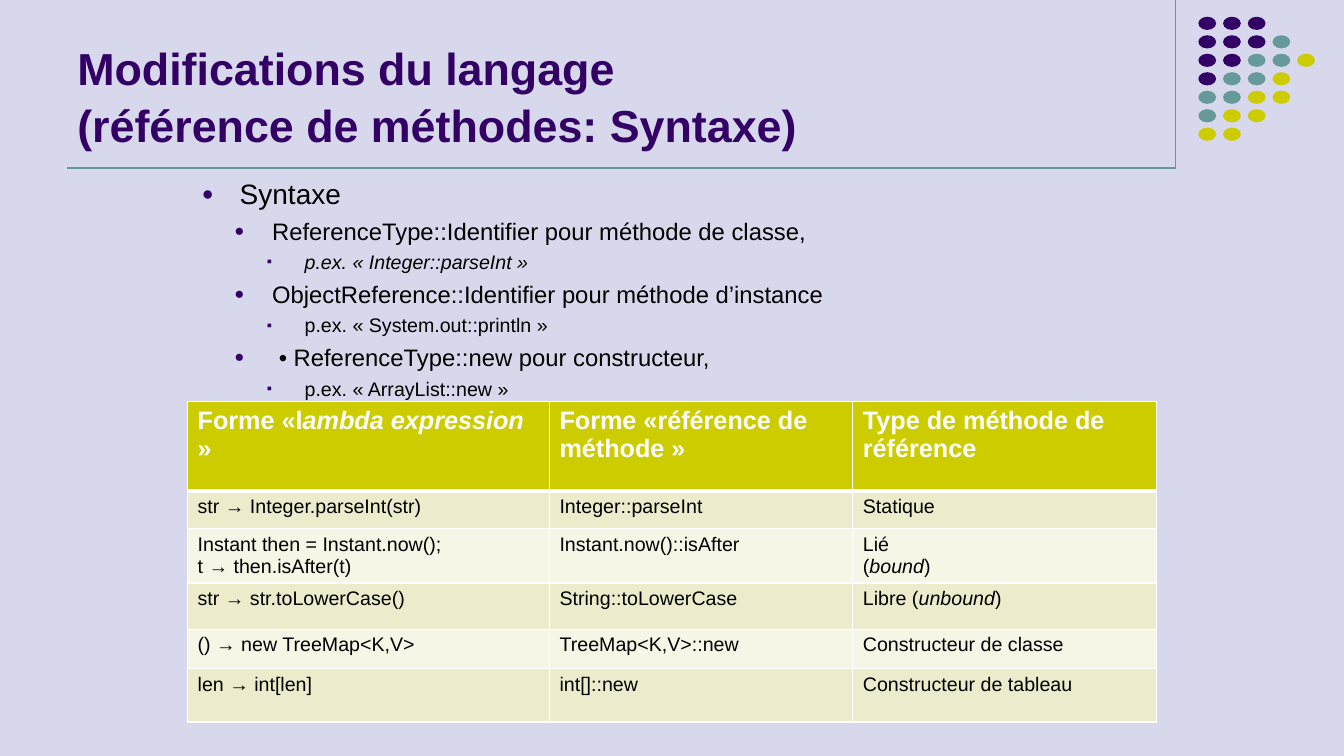
from lxml.etree import SubElement
from pptx import Presentation
from pptx.dml.color import RGBColor
from pptx.enum.shapes import MSO_CONNECTOR as CONNECTOR, MSO_SHAPE as SHAPE
from pptx.enum.text import MSO_ANCHOR as ANCHOR, MSO_AUTO_SIZE as AUTO_SIZE, PP_ALIGN as ALIGN
from pptx.oxml.ns import qn
from pptx.util import Pt

FONT = "Arial"
COLORS = {
    "background": "D8D8EC", "purple": "330066", "teal": "669999", "lime": "CCCC00",
    "black": "000000", "white": "FFFFFF", "band_dark": "ECECCC", "band_light": "F6F6E7",
}

# Each letter is one dot of the corner ornament
DOT_ROWS = ["PPP", "PPPT", "PPTTY", "PTTY", "TTYY", "TYY", "YY"]
DOT_COLORS = {"P": "purple", "T": "teal", "Y": "lime"}

TITLE = "Modifications du langage\n(référence de méthodes: Syntaxe)"

# Level and wording; asterisks enclose italics
SYNTAX_POINTS = [
    (0, "Syntaxe"),
    (1, "ReferenceType::Identifier pour méthode de classe,"),
    (2, "*p.ex. « Integer::parseInt »*"),
    (1, "ObjectReference::Identifier pour méthode d’instance"),
    (2, "p.ex. « System.out::println »"),
    (1, " • ReferenceType::new pour constructeur,"),
    (2, "p.ex. « ArrayList::new »"),
]
# Per level: text size, left margin, space before, bullet, bullet size in percent
LEVELS = [(20, 27, 4, "●", 70), (17, 50.2, 4.4, "●", 70), (14, 73.4, 3.6, "▪", 75)]
HANGING = 27

FORMS = [
    ["Forme «l*ambda expression *»", "Forme «référence de méthode »",
     "Type de méthode de référence"],
    ["str → Integer.parseInt(str)", "Integer::parseInt", "Statique"],
    ["Instant then = Instant.now();\nt → then.isAfter(t)", "Instant.now()::isAfter",
     "Lié\n(*bound*)"],
    ["str → str.toLowerCase()", "String::toLowerCase", "Libre (*unbound*)"],
    ["() → new TreeMap<K,V>", "TreeMap<K,V>::new", "Constructeur de classe"],
    ["len → int[len]", "int[]::new", "Constructeur de tableau"],
]
COLUMN_WIDTHS = [258.5, 216.7, 216.7]
ROW_HEIGHTS = [63.5, 27.2, 38.4, 33, 28.4, 38]


def color(name):
    return RGBColor.from_string(COLORS[name])


def write(paragraph, text, size=14, ink="black", bold=False):
    """Write text into a paragraph, with italics between asterisks."""
    for number, part in enumerate(text.split("*")):
        if part:
            run = paragraph.add_run()
            run.text = part
            font = run.font
            font.name, font.size, font.bold = FONT, Pt(size), bold
            font.italic = number % 2 == 1
            font.color.rgb = color(ink)


def write_lines(frame, text, **style):
    """Write one paragraph per line and return the paragraphs."""
    for number, line in enumerate(text.split("\n")):
        paragraph = frame.add_paragraph() if number else frame.paragraphs[0]
        paragraph.alignment = ALIGN.LEFT
        write(paragraph, line, **style)
    return frame.paragraphs


def place(shape, box):
    shape.left, shape.top, shape.width, shape.height = (Pt(length) for length in box)


def add_rule(slide, start, end):
    rule = slide.shapes.add_connector(
        CONNECTOR.STRAIGHT, *(Pt(length) for length in (*start, *end)))
    rule.line.color.rgb = color("teal")
    rule.line.width = Pt(0.75)
    SubElement(rule._element.spPr, qn("a:effectLst"))


def add_frame_rules(slide, box):
    left, top, width, height = box
    corner = (left + width, top + height)
    add_rule(slide, (left + width, top), corner)
    add_rule(slide, (left, top + height), corner)


def add_dots(slide, box):
    left, top, width, height = box
    dot_width, dot_height = 12.7, 9.4
    step_x = (width - dot_width) / (max(map(len, DOT_ROWS)) - 1)
    step_y = (height - dot_height) / (len(DOT_ROWS) - 1)
    for row, letters in enumerate(DOT_ROWS):
        for column, letter in enumerate(letters):
            dot = slide.shapes.add_shape(
                SHAPE.OVAL, Pt(left + column * step_x), Pt(top + row * step_y),
                Pt(dot_width), Pt(dot_height))
            dot.shadow.inherit = False
            dot.fill.solid()
            dot.fill.fore_color.rgb = color(DOT_COLORS[letter])
            dot.line.fill.background()


def fill_title(slide, box):
    title = slide.shapes.title
    place(title, box)
    frame = title.text_frame
    frame.vertical_anchor = ANCHOR.BOTTOM
    frame.auto_size = AUTO_SIZE.NONE
    for line in write_lines(frame, TITLE, size=32, ink="purple", bold=True):
        line.line_spacing = 1.05


def set_bullet(paragraph, margin, sign, percent):
    props = paragraph._p.get_or_add_pPr()
    props.set("marL", str(Pt(margin)))
    props.set("indent", str(-Pt(HANGING)))
    tint = SubElement(props, qn("a:buClr"))
    SubElement(tint, qn("a:srgbClr"), val=COLORS["purple"])
    SubElement(props, qn("a:buSzPct"), val=str(percent * 1000))
    SubElement(props, qn("a:buFont"), typeface=FONT)
    SubElement(props, qn("a:buChar"), char=sign)


def fill_syntax(slide, box):
    syntax = slide.placeholders[1]
    place(syntax, box)
    frame = syntax.text_frame
    frame.vertical_anchor = ANCHOR.TOP
    frame.auto_size = AUTO_SIZE.NONE
    lines = "\n".join(text for _, text in SYNTAX_POINTS).split("\n")
    for number, ((level, _), line) in enumerate(zip(SYNTAX_POINTS, lines)):
        size, margin, before, sign, percent = LEVELS[level]
        point = frame.add_paragraph() if number else frame.paragraphs[0]
        point.level = level
        point.space_before = Pt(before)
        set_bullet(point, margin, sign, percent)
        write(point, line, size=size)


def set_borders(cell, bottom):
    props = cell._tc.get_or_add_tcPr()
    for side, width in (("L", 1), ("R", 1), ("T", 1), ("B", bottom)):
        border = SubElement(props, qn(f"a:ln{side}"), w=str(Pt(width)))
        paint = SubElement(border, qn("a:solidFill"))
        SubElement(paint, qn("a:srgbClr"), val=COLORS["white"])


def add_forms_table(slide, left, top):
    forms = slide.shapes.add_table(
        len(FORMS), len(COLUMN_WIDTHS), Pt(left), Pt(top),
        Pt(sum(COLUMN_WIDTHS)), Pt(sum(ROW_HEIGHTS))).table
    for column, width in zip(forms.columns, COLUMN_WIDTHS):
        column.width = Pt(width)
    for row, (texts, height) in enumerate(zip(FORMS, ROW_HEIGHTS)):
        forms.rows[row].height = Pt(height)
        if row == 0:
            band, style = "lime", {"size": 18, "ink": "white", "bold": True}
        else:
            band, style = ("band_dark" if row % 2 else "band_light"), {}
        for column, text in enumerate(texts):
            cell = forms.cell(row, column)
            set_borders(cell, bottom=1 if row else 3)
            cell.fill.solid()
            cell.fill.fore_color.rgb = color(band)
            write_lines(cell.text_frame, text, **style)


def build_slide(deck):
    slide = deck.slides.add_slide(deck.slide_layouts[1])
    slide.background.fill.solid()
    slide.background.fill.fore_color.rgb = color("background")
    add_frame_rules(slide, (48, 0, 792, 120))
    add_dots(slide, (856, 12, 83.3, 88.6))
    fill_title(slide, (48, 9.5, 792, 102))
    fill_syntax(slide, (137, 122.5, 675, 417.5))
    add_forms_table(slide, 134, 287)


def main():
    deck = Presentation()
    deck.slide_width, deck.slide_height = Pt(960), Pt(540)
    build_slide(deck)
    deck.save("out.pptx")


if __name__ == "__main__":
    main()
